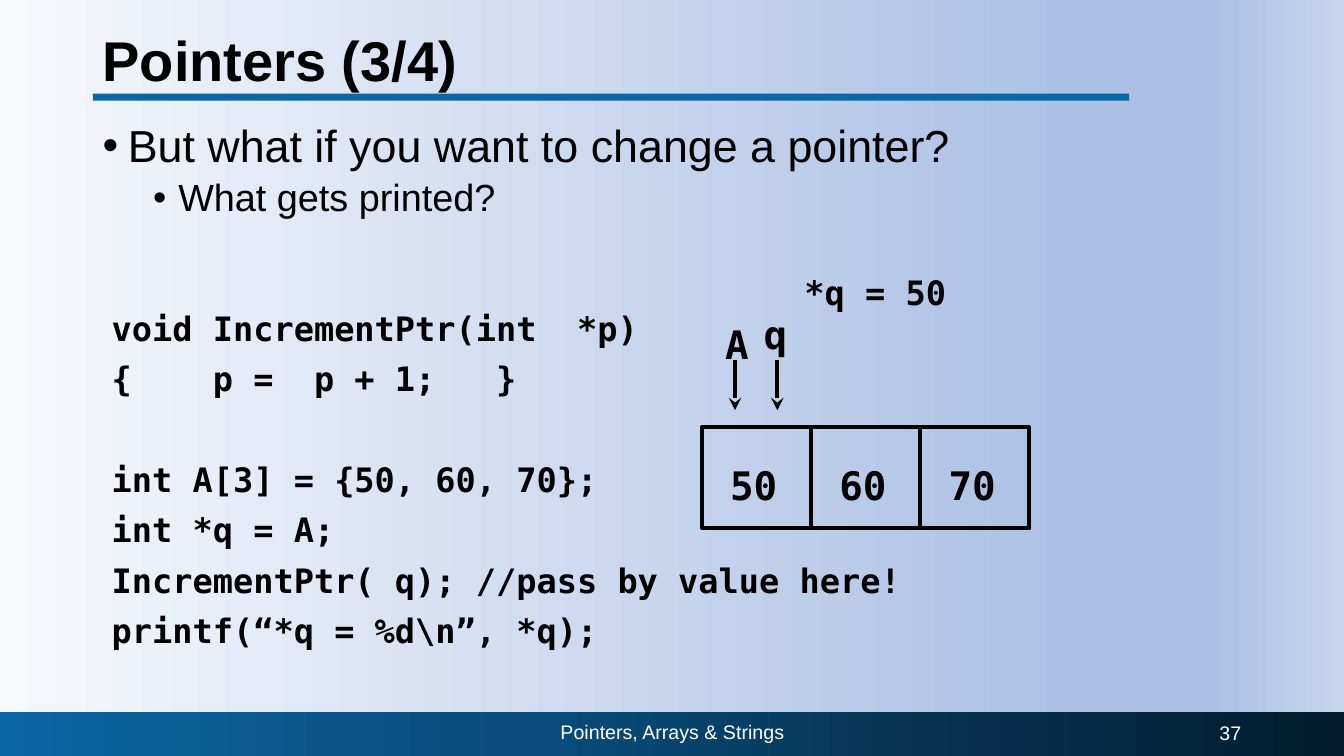
import pptx
import pptx.dml.color
import pptx.enum.shapes
import pptx.enum.text
import pptx.oxml
import pptx.oxml.ns
import pptx.util
from pptx.util import Inches

SANS = "Arial"
MONO = "DejaVu Sans Mono"
BLACK = "000000"
WHITE = "FFFFFF"
BLUE = "0C66A4"
ALIGN = pptx.enum.text.PP_ALIGN
ANCHOR = pptx.enum.text.MSO_ANCHOR

BULLETS = [  # text, size, left margin, space before
    ("But what if you want to change a pointer?", 32, 0.25, 10),
    ("What gets printed?", 27, 0.75, 5),
]
CODE = [  # text, space before
    ("void IncrementPtr(int  *p)", 66),
    ("{    p =  p + 1;   }", 10),
    ("int A[3] = {50, 60, 70};", 46),
    ("int *q = A;", 10),
    ("IncrementPtr( q); //pass by value here!", 10),
    ("printf(“*q = %d\\n”, *q);", 10),
]
ARRAY = ["50", "60", "70"]
ARRAY_LEFT, ARRAY_TOP, ARRAY_WIDTH, ARRAY_HEIGHT = 6.96, 4.24, 3.25, 1


def color(hex_value):
    return pptx.dml.color.RGBColor.from_string(hex_value)


def sub_element(parent, tag, **attributes):
    child = parent.makeelement(pptx.oxml.ns.qn(tag), attributes)
    parent.append(child)
    return child


def set_gradient(fill, owner, stops):
    """Fill from left to right with (percent, colour) stops; owner holds the fill."""
    fill.gradient()
    fill.gradient_angle = 0
    stop_list = next(owner.iter(pptx.oxml.ns.qn("a:gsLst")))
    for old_stop in list(stop_list):
        stop_list.remove(old_stop)
    for percent, hex_value in stops:
        stop = sub_element(stop_list, "a:gs", pos=str(percent * 1000))
        sub_element(stop, "a:srgbClr", val=hex_value)


def style(paragraph, size, font, hex_value=BLACK, bold=False):
    for run in paragraph.runs:
        run.font.size = pptx.util.Pt(size)
        run.font.name = font
        run.font.bold = bold
        run.font.color.rgb = color(hex_value)


def add_label(slide, text, box, size, font, hex_value=BLACK, bold=False,
              align=ALIGN.LEFT, anchor=ANCHOR.TOP, wrap=False):
    frame = slide.shapes.add_textbox(*map(Inches, box)).text_frame
    frame.word_wrap = wrap
    frame.vertical_anchor = anchor
    frame.text = text
    paragraph = frame.paragraphs[0]
    paragraph.alignment = align
    style(paragraph, size, font, hex_value, bold)
    return paragraph


def add_rectangle(slide, *box):
    rectangle = slide.shapes.add_shape(
        pptx.enum.shapes.MSO_SHAPE.RECTANGLE, *map(Inches, box))
    rectangle.shadow.inherit = False
    rectangle.fill.background()
    rectangle.line.fill.background()
    return rectangle


def add_line(slide, start, end, arrow=False):
    line = slide.shapes.add_connector(
        pptx.enum.shapes.MSO_CONNECTOR.STRAIGHT, *map(Inches, start + end))
    line.line.color.rgb = color(BLACK)
    line.line.width = pptx.util.Pt(3)
    if arrow:
        sub_element(line.line._get_or_add_ln(), "a:tailEnd", type="stealth")
    sub_element(line.element.spPr, "a:effectLst")


def space_paragraph(paragraph, before, margin, indent=0):
    paragraph.line_spacing = 0.9
    paragraph.space_before = pptx.util.Pt(before)
    properties = paragraph._p.get_or_add_pPr()
    properties.set("marL", str(Inches(margin)))
    properties.set("indent", str(Inches(indent)))
    return properties


def add_body(slide):
    frame = slide.shapes.add_textbox(
        Inches(0.92), Inches(1.18), Inches(11.5), Inches(5.64)).text_frame
    frame.word_wrap = True
    frame.text = "\n".join(item[0] for item in BULLETS + CODE)
    bullet_lines = frame.paragraphs[:len(BULLETS)]
    code_lines = frame.paragraphs[len(BULLETS):]
    for paragraph, (_, size, margin, before) in zip(bullet_lines, BULLETS):
        properties = space_paragraph(paragraph, before, margin, -0.25)
        sub_element(properties, "a:buFont", typeface=SANS)
        sub_element(properties, "a:buChar", char="•")
        style(paragraph, size, SANS)
    for paragraph, (_, before) in zip(code_lines, CODE):
        space_paragraph(paragraph, before, 0.09)
        style(paragraph, 24, MONO, bold=True)


def add_array(slide):
    outline = add_rectangle(slide, ARRAY_LEFT, ARRAY_TOP, ARRAY_WIDTH, ARRAY_HEIGHT)
    outline.line.color.rgb = color(BLACK)
    outline.line.width = pptx.util.Pt(3)
    cell_width = ARRAY_WIDTH / len(ARRAY)
    for index, value in enumerate(ARRAY):
        left = ARRAY_LEFT + index * cell_width
        if index:
            add_line(slide, (left, ARRAY_TOP + ARRAY_HEIGHT), (left, ARRAY_TOP))
        add_label(slide, value, (left + 0.18, 4.53, 0.67, 0.57), 28, MONO,
                  bold=True, align=ALIGN.CENTER)


def add_pointer(slide, name, left, top, arrow_x):
    add_label(slide, name, (left, top, 0.44, 0.57), 28, MONO,
              bold=True, align=ALIGN.CENTER)
    add_line(slide, (arrow_x, 3.57), (arrow_x, 4.07), arrow=True)


def add_footer(slide):
    band = add_rectangle(slide, 0, 7.06, 13.33, 0.44)
    set_gradient(band.fill, band.element,
                 [(0, BLUE), (40, "094C7B"), (69, "063352"), (100, "031D2F")])
    add_label(slide, "Pointers, Arrays & Strings", (4.42, 7.06, 4.5, 0.4), 14, SANS,
              WHITE, align=ALIGN.CENTER, anchor=ANCHOR.MIDDLE, wrap=True)
    add_label(slide, "37", (9.41, 7.07, 3, 0.4), 14, SANS,
              WHITE, align=ALIGN.RIGHT, anchor=ANCHOR.MIDDLE, wrap=True)


def add_title(slide):
    rule = add_rectangle(slide, 0.92, 0.93, 10.28, 0.07)
    rule.fill.solid()
    rule.fill.fore_color.rgb = color(BLUE)
    title = add_label(slide, "Pointers (3/4)", (0.92, 0.12, 11.5, 1.01), 40, SANS,
                      bold=True, anchor=ANCHOR.MIDDLE, wrap=True)
    title.line_spacing = 0.9


def main():
    presentation = pptx.Presentation()
    presentation.slide_width = Inches(13.33)
    presentation.slide_height = Inches(7.5)
    slide = presentation.slides.add_slide(presentation.slide_layouts[6])
    set_gradient(slide.background.fill, slide.element,
                 [(0, "F6F8FC"), (80, "ABC0E4"), (90, "ABC0E4"), (100, "C7D5ED")])
    add_title(slide)
    add_body(slide)
    add_label(slide, "*q = 50", (7.88, 2.65, 1.61, 0.5), 24, MONO, bold=True)
    add_array(slide)
    add_pointer(slide, "A", 7.09, 3.13, 7.29)
    add_pointer(slide, "q", 7.47, 3.03, 7.71)
    add_footer(slide)
    presentation.save("out.pptx")


if __name__ == "__main__":
    main()
